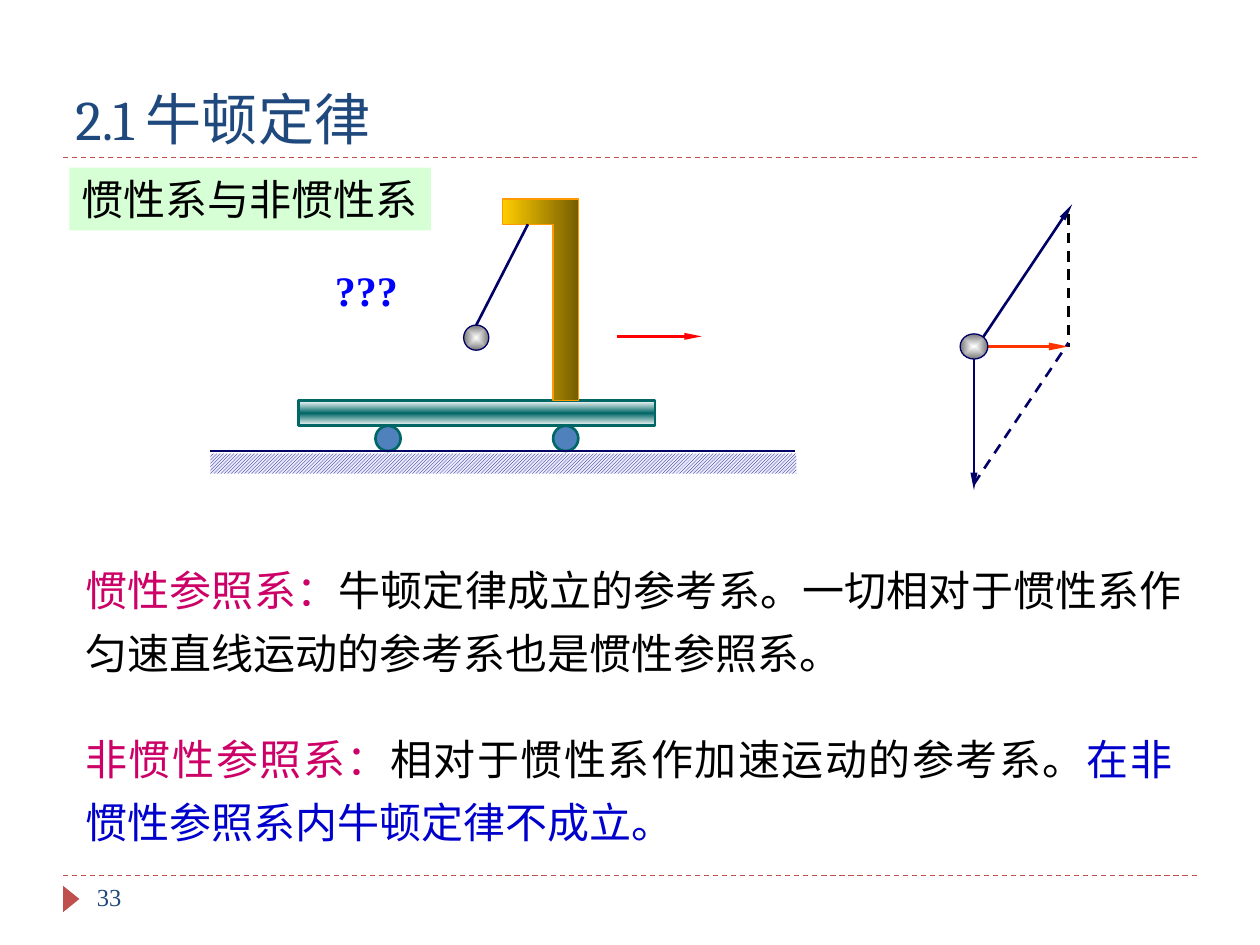
from lxml import etree
from pptx import Presentation
from pptx.dml.color import RGBColor
from pptx.enum import dml, shapes, text
from pptx.oxml import ns
from pptx.util import Inches, Pt

RUST = RGBColor(0xC0, 0x50, 0x4D)
STEEL = RGBColor(0x1F, 0x49, 0x7D)
MINT = RGBColor(0xCC, 0xFF, 0xCC)
NAVY = RGBColor(0x00, 0x00, 0x66)
PALE = RGBColor(0xE9, 0xE9, 0xFF)
TEAL = RGBColor(0x00, 0x66, 0x66)
WHEEL = RGBColor(0x4F, 0x81, 0xBD)
WHITE = RGBColor(0xFF, 0xFF, 0xFF)
GRAY = RGBColor(0x76, 0x76, 0x76)
GOLD = RGBColor(0xFF, 0xCC, 0x00)
BROWN = RGBColor(0x76, 0x5E, 0x00)
AMBER = RGBColor(0xFF, 0x99, 0x00)
RED = RGBColor(0xFF, 0x00, 0x00)
FLAME = RGBColor(0xFF, 0x33, 0x00)
BLACK = RGBColor(0x00, 0x00, 0x00)
BLUE = RGBColor(0x00, 0x00, 0xFF)
ROYAL = RGBColor(0x00, 0x00, 0xCC)
PINK = RGBColor(0xCC, 0x00, 0x66)

KIND = shapes.MSO_SHAPE
TIMES = "Times New Roman"


def sub(parent, tag, **attrs):
    return etree.SubElement(parent, ns.qn(tag), **attrs)


class Board:
    def __init__(self, slide):
        self.slide = slide
        self.items = slide.shapes

    def paint(self, shape, fill, line=None, width=0.75):
        shape.shadow.inherit = False
        if fill is not None:
            shape.fill.solid()
            shape.fill.fore_color.rgb = fill
        if line is None:
            shape.line.fill.background()
        else:
            shape.line.color.rgb = line
            shape.line.width = Pt(width)
        return shape

    def shape(self, kind, box, fill=None, line=None, width=0.75):
        made = self.items.add_shape(kind, *map(Inches, box))
        return self.paint(made, fill, line, width)

    def blend(self, shape, colors, angle=None):
        """Fill with evenly spaced colours, radial when no angle is given."""
        shape.fill.background()
        old = shape._element.spPr.find(ns.qn("a:noFill"))
        grad = etree.Element(ns.qn("a:gradFill"), rotWithShape="1")
        stops = sub(grad, "a:gsLst")
        for i, color in enumerate(colors):
            pos = i * 100000 // (len(colors) - 1)
            stop = sub(stops, "a:gs", pos=str(pos))
            sub(stop, "a:srgbClr", val=str(color))
        if angle is None:
            focus = sub(grad, "a:path", path="shape")
            sub(focus, "a:fillToRect", l="50000", t="50000", r="50000", b="50000")
        else:
            sub(grad, "a:lin", ang=str(angle * 60000), scaled="1")
        old.getparent().replace(old, grad)

    def ball(self, box):
        self.blend(self.shape(KIND.OVAL, box, line=NAVY), [WHITE, GRAY])

    def outline(self, points, line):
        start, *rest = [(Inches(x), Inches(y)) for x, y in points]
        pen = self.items.build_freeform(*start)
        pen.add_line_segments(rest, close=True)
        return self.paint(pen.convert_to_shape(), None, line)

    def line(self, start, end, color, width=1.5, dash=False, arrow=False):
        ends = map(Inches, (*start, *end))
        made = self.items.add_connector(shapes.MSO_CONNECTOR.STRAIGHT, *ends)
        made.line.color.rgb = color
        made.line.width = Pt(width)
        if dash:
            made.line.dash_style = dml.MSO_LINE.DASH
        if arrow:
            edge = made._element.spPr.find(ns.qn("a:ln"))
            sub(edge, "a:tailEnd", type="triangle", w="sm", len="lg")
        sub(made._element.spPr, "a:effectLst")

    def label(self, shape, runs, size=24, font=TIMES, wrap=True, bold=None):
        """Put (words, colour) runs in the shape as one paragraph."""
        frame = shape.text_frame
        frame.word_wrap = wrap
        para = frame.paragraphs[0]
        para.alignment = text.PP_ALIGN.LEFT
        para.font.size = Pt(size)
        para.font.name = font
        para.font.bold = bold
        for words, color in runs:
            run = para.add_run()
            run.text = words
            run.font.color.rgb = color
        return frame

    def text(self, box, runs, **style):
        made = self.items.add_textbox(*map(Inches, box))
        return self.label(made, runs, **style)

    def body(self, box, runs):
        para = self.text(box, runs).paragraphs[0]
        para.alignment = text.PP_ALIGN.JUSTIFY
        para.line_spacing = 1.25


def frame(board):
    for y in (6.95, 1.25):
        board.line((0.5, y), (9.5, y), RUST, 0.75, dash=True)
    mark = board.shape(KIND.ISOSCELES_TRIANGLE, (0.46, 7.07, 0.21, 0.13), RUST)
    mark.rotation = 90
    title = board.text((0.5, 0.25, 9, 1), [("2.1 牛顿定律", STEEL)],
                       size=32, font="Cambria")
    title.vertical_anchor = text.MSO_ANCHOR.BOTTOM
    board.text((0.67, 6.95, 2.17, 0.4), [("33", STEEL)], size=14)

    topic = board.shape(KIND.RECTANGLE, (0.55, 1.33, 2.87, 0.5), MINT)
    tint = topic._element.spPr.find(".//" + ns.qn("a:srgbClr"))
    sub(tint, "a:alpha", val="80000")
    words = board.label(topic, [("惯性系与非惯性系", BLACK)], wrap=False)
    words.vertical_anchor = text.MSO_ANCHOR.MIDDLE


def cart(board):
    ground = board.shape(KIND.RECTANGLE, (1.67, 3.6, 4.65, 0.16))
    ground.fill.patterned()
    ground.fill.pattern = dml.MSO_PATTERN.LIGHT_UPWARD_DIAGONAL
    ground.fill.fore_color.rgb = NAVY
    ground.fill.back_color.rgb = PALE
    deck = board.shape(KIND.RECTANGLE, (2.37, 3.18, 2.83, 0.2),
                       line=TEAL, width=1.5)
    board.blend(deck, [WHITE, TEAL, WHITE], 90)
    for x in (2.98, 4.39):
        board.shape(KIND.OVAL, (x, 3.38, 0.2, 0.2), WHEEL, TEAL, 1.5)
    post = board.outline([(4.39, 3.18), (4.39, 1.78), (3.99, 1.78),
                          (3.99, 1.58), (4.59, 1.58), (4.59, 3.18)], AMBER)
    board.blend(post, [GOLD, BROWN], 0)
    board.ball((3.68, 2.58, 0.2, 0.2))
    board.line((3.78, 2.58), (4.19, 1.78), NAVY)
    board.line((1.67, 3.58), (6.31, 3.58), NAVY)
    board.line((4.9, 2.67), (5.57, 2.67), RED, arrow=True)
    board.text((2.56, 2.05, 0.79, 0.5), [("???", BLUE)], bold=True)


def forces(board):
    board.line((7.73, 2.85), (7.73, 3.89), NAVY, arrow=True)
    board.line((7.76, 2.74), (8.51, 1.62), NAVY, arrow=True)
    board.line((8.48, 1.7), (8.48, 2.75), BLACK, dash=True)
    board.line((7.83, 2.75), (8.48, 2.75), FLAME, 2.25, arrow=True)
    board.ball((7.62, 2.65, 0.22, 0.2))
    board.line((7.73, 3.84), (8.48, 2.72), NAVY, dash=True)


def main():
    deck = Presentation()
    deck.slide_width, deck.slide_height = Inches(10), Inches(7.5)
    board = Board(deck.slides.add_slide(deck.slide_layouts[6]))
    frame(board)
    cart(board)
    forces(board)
    board.body((0.58, 4.33, 8.9, 1.1), [
        ("惯性参照系：", PINK),
        ("牛顿定律成立的参考系。一切相对于惯性系作匀速直线运动的参考系也是惯性参照系。", BLACK),
    ])
    board.body((0.58, 5.67, 8.82, 1.1), [
        ("非惯性参照系：", PINK),
        ("相对于惯性系作加速运动的参考系。", BLACK),
        ("在非惯性参照系内牛顿定律不成立。", ROYAL),
    ])
    deck.save("out.pptx")


if __name__ == "__main__":
    main()
